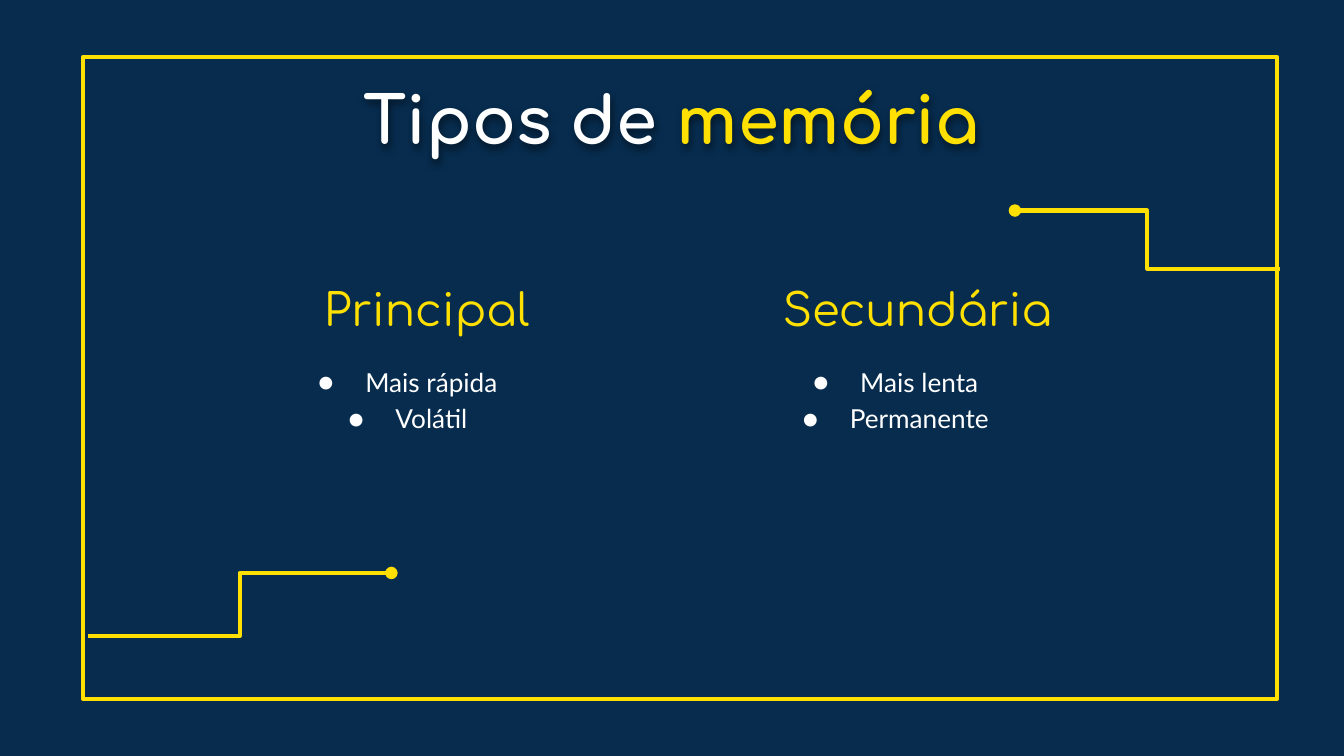
from dataclasses import dataclass

from lxml import etree
from pptx import Presentation, util as u
from pptx.dml.color import RGBColor
from pptx.enum import shapes, text
from pptx.oxml import parse_xml
from pptx.oxml.ns import nsdecls, qn

NAVY = RGBColor(0x07, 0x2C, 0x4E)
YELLOW = RGBColor(0xFF, 0xE0, 0x00)
WHITE = RGBColor(0xFF, 0xFF, 0xFF)
HEAD_FONT, BODY_FONT = "Comfortaa", "Lato"
CELL = u.Inches(0.1)
COLS, ROWS = 100, 56.25


@dataclass(frozen=True)
class Box:
    col: float
    row: float
    cols: float
    rows: float

    def lengths(self) -> list[int]:
        return [cells(n) for n in (self.col, self.row, self.cols, self.rows)]


@dataclass(frozen=True)
class Column:
    heading: str
    items: tuple[str, ...]
    heading_box: Box
    list_box: Box
    heading_idx: int
    list_idx: int


@dataclass(frozen=True)
class Circuit:
    start: tuple[float, float]
    end: tuple[float, float]


FRAME = Box(6.2, 4.23, 88.8, 47.8)
TITLE = Box(7.85, 4.9, 84.3, 6.3)
COLUMNS = (
    Column("Principal", ("Mais rápida", "Volátil"),
           Box(17.3, 19.85, 28.9, 6.1), Box(13.05, 25.9, 33.1, 11.7), 1, 2),
    Column("Secundária", ("Mais lenta", "Permanente"),
           Box(53.8, 19.85, 28.9, 6.1), Box(49.05, 25.9, 33.7, 11.7), 3, 4),
)
CIRCUITS = (
    Circuit((29.13, 42.63), (6.54, 47.32)),
    Circuit((75.52, 15.67), (95.23, 20)),
)


def cells(n: float) -> int:
    return round(n * CELL)


def place(sp, box: Box, anchor=text.MSO_ANCHOR.TOP):
    sp.left, sp.top, sp.width, sp.height = box.lengths()
    tf = sp.text_frame
    tf.word_wrap = True
    tf.auto_size = text.MSO_AUTO_SIZE.NONE
    tf.vertical_anchor = anchor
    tf.margin_left = tf.margin_right = tf.margin_top = tf.margin_bottom = CELL
    return tf


def format_run(r, font: str, size: float, color: RGBColor, bold: bool = False) -> None:
    r.font.name, r.font.size, r.font.bold = font, u.Pt(size), bold
    r.font.color.rgb = color


def format_paragraph(p, spacing: float) -> None:
    p.alignment = text.PP_ALIGN.CENTER
    p.line_spacing = spacing
    p.space_before = p.space_after = u.Pt(0)


def add_bullet(p) -> None:
    pPr = p._p.get_or_add_pPr()
    pPr.set("marL", str(u.Inches(0.5)))
    pPr.set("indent", str(u.Inches(-0.35)))
    color = etree.SubElement(pPr, qn("a:buClr"))
    etree.SubElement(color, qn("a:srgbClr"), val=str(WHITE))
    etree.SubElement(pPr, qn("a:buFont"), typeface=BODY_FONT)
    etree.SubElement(pPr, qn("a:buChar"), char="●")


def add_shadow(sp) -> None:
    sp._element.spPr.append(parse_xml(
        f'<a:effectLst {nsdecls("a")}>'
        '<a:outerShdw blurRad="57150" dist="19050" dir="5400000" algn="bl" rotWithShape="0">'
        '<a:srgbClr val="000000"><a:alpha val="50000"/></a:srgbClr>'
        '</a:outerShdw></a:effectLst>'))


def draw_frame(s) -> None:
    sp = s.shapes.add_shape(shapes.MSO_SHAPE.RECTANGLE, *FRAME.lengths())
    sp.shadow.inherit = False
    sp.fill.solid()
    sp.fill.fore_color.rgb = NAVY
    sp.line.color.rgb = YELLOW
    sp.line.width = u.Pt(2.25)
    s.shapes._spTree.insert(2, sp._element)


def draw_title(s) -> None:
    sp = s.shapes.title
    p = place(sp, TITLE).paragraphs[0]
    sp.fill.background()
    add_shadow(sp)
    format_paragraph(p, 1)
    for words, color in (("Tipos de ", WHITE), ("memória", YELLOW)):
        r = p.add_run()
        r.text = words
        format_run(r, HEAD_FONT, 35, color, bold=True)


def draw_column(s, column: Column) -> None:
    placeholders = {sp.placeholder_format.idx: sp for sp in s.placeholders}
    tf = place(placeholders[column.heading_idx], column.heading_box, text.MSO_ANCHOR.BOTTOM)
    tf.text = column.heading
    format_paragraph(tf.paragraphs[0], 1.15)
    format_run(tf.paragraphs[0].runs[0], HEAD_FONT, 24, YELLOW)

    tf = place(placeholders[column.list_idx], column.list_box)
    tf.text = "\n".join(column.items)
    for p in tf.paragraphs:
        format_paragraph(p, 1.15)
        add_bullet(p)
        format_run(p.runs[0], BODY_FONT, 14, WHITE)


def draw_circuit(s, circuit: Circuit) -> None:
    points = [cells(n) for n in (*circuit.start, *circuit.end)]
    line = s.shapes.add_connector(shapes.MSO_CONNECTOR.ELBOW, *points)
    line.line.color.rgb = YELLOW
    line.line.width = u.Pt(2.25)
    etree.SubElement(line.line._get_or_add_ln(), qn("a:headEnd"), type="oval")
    etree.SubElement(line._element.spPr, qn("a:effectLst"))


def main() -> None:
    prs = Presentation()
    prs.slide_width, prs.slide_height = cells(COLS), cells(ROWS)
    s = prs.slides.add_slide(prs.slide_layouts.get_by_name("Comparison"))
    s.background.fill.solid()
    s.background.fill.fore_color.rgb = NAVY
    draw_frame(s)
    draw_title(s)
    for column in COLUMNS:
        draw_column(s, column)
    for circuit in CIRCUITS:
        draw_circuit(s, circuit)
    prs.save("out.pptx")


if __name__ == "__main__":
    main()
